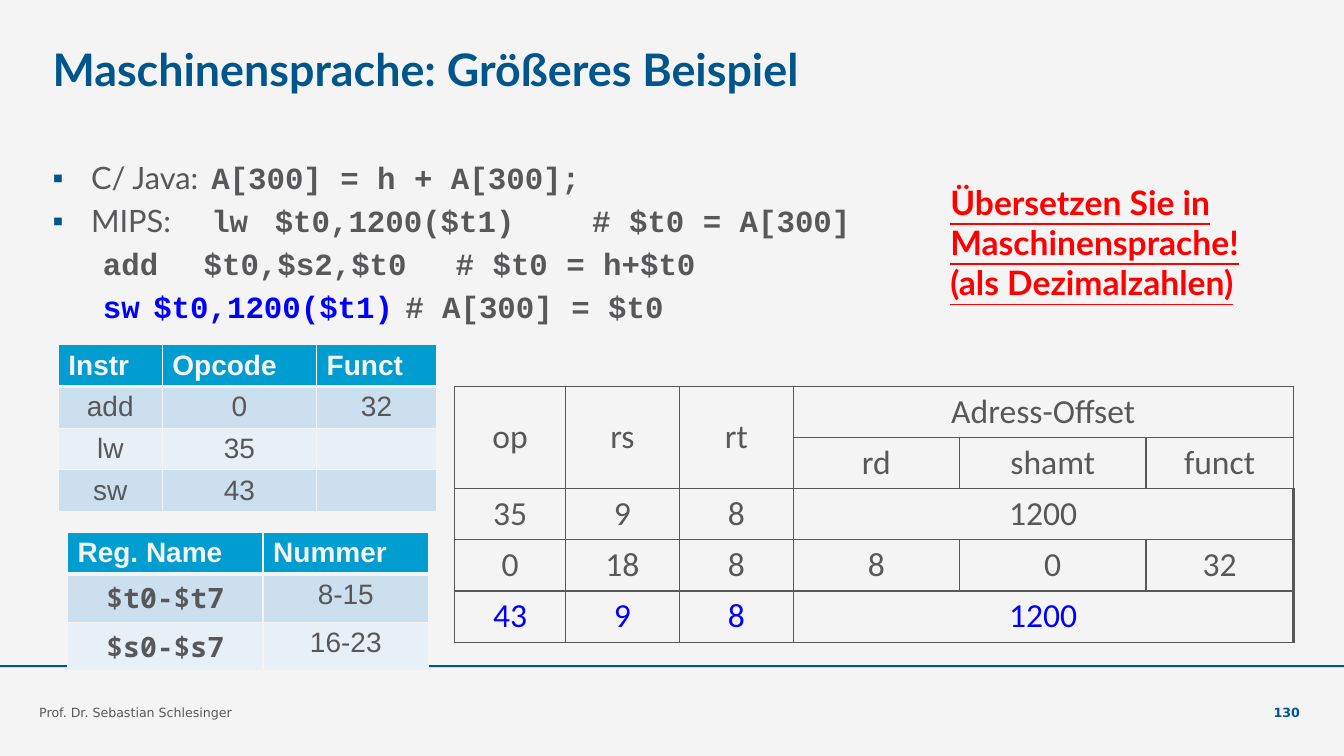
import pptx
import pptx.util
import pptx.dml.color
import pptx.enum.shapes
import pptx.enum.text
from lxml import etree
from pptx.oxml.ns import qn

Cm, Pt = pptx.util.Cm, pptx.util.Pt
Align, Anchor = pptx.enum.text.PP_ALIGN, pptx.enum.text.MSO_ANCHOR

PAPER, GREY, NAVY, BLUE, RED = "F4F4F4", "58585A", "00568A", "0000FF", "FF0000"
HEADER, BANDS = "009DD1", ("CCDFEE", "E7EFF7")
MONO = "Noto Sans Mono"
TAB_STEP = 0.8

TITLE = "Maschinensprache: Größeres Beispiel"
CODE_LINES = [
    ("C/ Java:\t", [("A[300] = h + A[300];", GREY)]),
    ("MIPS:\t", [("lw\t$t0,1200($t1)\t# $t0 = A[300]", GREY)]),
    ("", [("\tadd\t$t0,$s2,$t0\t# $t0 = h+$t0", GREY)]),
    ("", [("\tsw\t$t0,1200($t1)", BLUE), ("\t# A[300] = $t0", GREY)]),
]
TASK = "Übersetzen Sie in Maschinensprache! (als Dezimalzahlen)"
AUTHOR, PAGE = "Prof. Dr. Sebastian Schlesinger", "130"

OPCODES = [("Instr", "Opcode", "Funct"), ("add", "0", "32"), ("lw", "35", ""), ("sw", "43", "")]
REGISTERS = [("Reg. Name", "Nummer"), ("$t0-$t7", "8-15"), ("$s0-$s7", "16-23")]
ENCODING = [
    ("op", "rs", "rt", "Adress-Offset", "", ""),
    ("", "", "", "rd", "shamt", "funct"),
    ("35", "9", "8", "1200", "", ""),
    ("0", "18", "8", "8", "0", "32"),
    ("43", "9", "8", "1200", "", ""),
]
ENCODING_MERGES = [((0, c), (1, c)) for c in range(3)] + [((r, 3), (r, 5)) for r in (0, 2, 4)]


def rgb(value):
    return pptx.dml.color.RGBColor.from_string(value)


def style(font, name, size, color, bold=False):
    font.name, font.size, font.bold = name, Pt(size), bold
    font.color.rgb = rgb(color)


def place(shape, left, top, width, height):
    shape.left, shape.top, shape.width, shape.height = map(Cm, (left, top, width, height))


def add_label(slide, box, text, name, size, color, bold=False):
    label = slide.shapes.add_textbox(*map(Cm, box))
    label.text_frame.word_wrap = True
    label.text_frame.text = text
    style(label.text_frame.paragraphs[0].font, name, size, color, bold)
    return label.text_frame


def add_footer(slide, box, text, color, bold, align):
    frame = add_label(slide, box, text, "DejaVu Sans", 9, color, bold)
    frame.margin_left = frame.margin_right = frame.margin_top = frame.margin_bottom = 0
    frame.vertical_anchor = Anchor.BOTTOM
    frame.paragraphs[0].alignment = align


def set_borders(cell, color, right=1, bottom=1):
    props = cell._tc.get_or_add_tcPr()
    for i, (side, points) in enumerate((("L", 1), ("R", right), ("T", 1), ("B", bottom))):
        line = etree.Element(qn(f"a:ln{side}"), w=str(Pt(points)))
        fill = etree.SubElement(line, qn("a:solidFill"))
        etree.SubElement(fill, qn("a:srgbClr"), val=color)
        props.insert(i, line)


def add_grid(slide, left, top, widths, heights, rows):
    grid = slide.shapes.add_table(
        len(rows), len(widths), Cm(left), Cm(top), Cm(sum(widths)), Cm(sum(heights))).table
    grid.first_row = grid.horz_banding = False
    for column, width in zip(grid.columns, widths):
        column.width = Cm(width)
    for row, height in zip(grid.rows, heights):
        row.height = Cm(height)
    for r, row in enumerate(rows):
        for c, text in enumerate(row):
            grid.cell(r, c).text = text
    return grid


def add_lookup(slide, left, top, widths, heights, rows):
    grid = add_grid(slide, left, top, widths, heights, rows)
    for r, row in enumerate(rows):
        for c, text in enumerate(row):
            cell, header = grid.cell(r, c), r == 0
            cell.fill.solid()
            cell.fill.fore_color.rgb = rgb(HEADER if header else BANDS[(r - 1) % 2])
            set_borders(cell, PAPER, bottom=3 if header else 1)
            paragraph = cell.text_frame.paragraphs[0]
            paragraph.alignment = Align.LEFT if header else Align.CENTER
            register = text.startswith("$")
            style(paragraph.font, MONO if register else "Arial", 20,
                  PAPER if header else GREY, header or register)


def add_encoding(slide):
    grid = add_grid(slide, 11.46, 9.73, (2.79, 2.87, 2.87, 4.19, 4.7, 3.71), [1.29] * 5, ENCODING)
    for start, end in ENCODING_MERGES:
        grid.cell(*start).merge(grid.cell(*end))
    for r in range(len(ENCODING)):
        for c in range(len(ENCODING[r])):
            cell = grid.cell(r, c)
            cell.fill.background()
            cell.vertical_anchor = Anchor.MIDDLE
            cell.margin_left = cell.margin_right = Cm(0.36)
            edge = c == 5 or ((r, c), (r, 5)) in ENCODING_MERGES
            set_borders(cell, GREY, right=2.25 if edge and r > 1 else 1)
            paragraph = cell.text_frame.paragraphs[0]
            paragraph.alignment = Align.CENTER
            style(paragraph.font, "Calibri", 24, BLUE if r == 4 else GREY)


def set_layout(paragraph, bulleted):
    props = paragraph._p.get_or_add_pPr()
    indent = Cm(0.97) if bulleted else 0
    props.set("marL", str(indent))
    props.set("indent", str(-indent))
    if bulleted:
        color = etree.SubElement(props, qn("a:buClr"))
        etree.SubElement(color, qn("a:srgbClr"), val=NAVY)
        etree.SubElement(props, qn("a:buFont"), typeface="Arial")
        etree.SubElement(props, qn("a:buChar"), char="▪")
    else:
        etree.SubElement(props, qn("a:buNone"))
    stops = etree.SubElement(props, qn("a:tabLst"))
    for step in (5, 7, 17) if bulleted else (6, 8, 18):
        etree.SubElement(stops, qn("a:tab"), pos=str(Cm(step * TAB_STEP)), algn="l")


def fill_code(frame):
    frame.auto_size = pptx.enum.text.MSO_AUTO_SIZE.NONE
    for i, (language, code) in enumerate(CODE_LINES):
        paragraph = frame.add_paragraph() if i else frame.paragraphs[0]
        set_layout(paragraph, bool(language))
        paragraph.line_spacing = 1.08
        paragraph.space_before = Pt(2.2 if i else 0)
        if language:
            run = paragraph.add_run()
            run.text = language
            style(run.font, "Lato", 22, GREY)
        for text, color in code:
            run = paragraph.add_run()
            run.text = text
            style(run.font, "Courier New", 22, color, True)


def main():
    deck = pptx.Presentation()
    deck.slide_width, deck.slide_height = Cm(33.87), Cm(19.05)
    slide = deck.slides.add_slide(deck.slide_layouts[1])
    slide.background.fill.solid()
    slide.background.fill.fore_color.rgb = rgb(PAPER)

    heading, body = slide.shapes.title, slide.placeholders[1]
    place(heading, 1.07, 0.94, 21.16, 1.6)
    heading.text_frame.text = TITLE
    heading.text_frame.vertical_anchor = Anchor.MIDDLE
    heading.text_frame.paragraphs[0].alignment = Align.LEFT
    style(heading.text_frame.paragraphs[0].font, "Lato", 32, NAVY, True)
    place(body, 1.07, 3.81, 26.87, 4.88)
    fill_code(body.text_frame)

    rule = slide.shapes.add_shape(
        pptx.enum.shapes.MSO_SHAPE.RECTANGLE, 0, Cm(16.76), deck.slide_width, Cm(0.05))
    rule.shadow.inherit = False
    rule.fill.solid()
    rule.fill.fore_color.rgb = rgb(NAVY)
    rule.line.fill.background()

    add_encoding(slide)
    add_lookup(slide, 1.7, 13.41, (4.93, 4.17), (1.05, 1.22, 1.22), REGISTERS)
    add_lookup(slide, 1.47, 8.69, (2.62, 3.89, 3.02), [1.05] * 4, OPCODES)

    add_footer(slide, (0.99, 17.15, 23.37, 0.99), AUTHOR, GREY, False, Align.LEFT)
    add_footer(slide, (30.56, 17.15, 2.2, 0.99), PAGE, NAVY, True, Align.RIGHT)
    task = add_label(slide, (23.7, 4.45, 8.94, 3.33), TASK, "Lato", 24, RED, True)
    task.paragraphs[0].font.underline = True

    deck.save("out.pptx")


if __name__ == "__main__":
    main()
